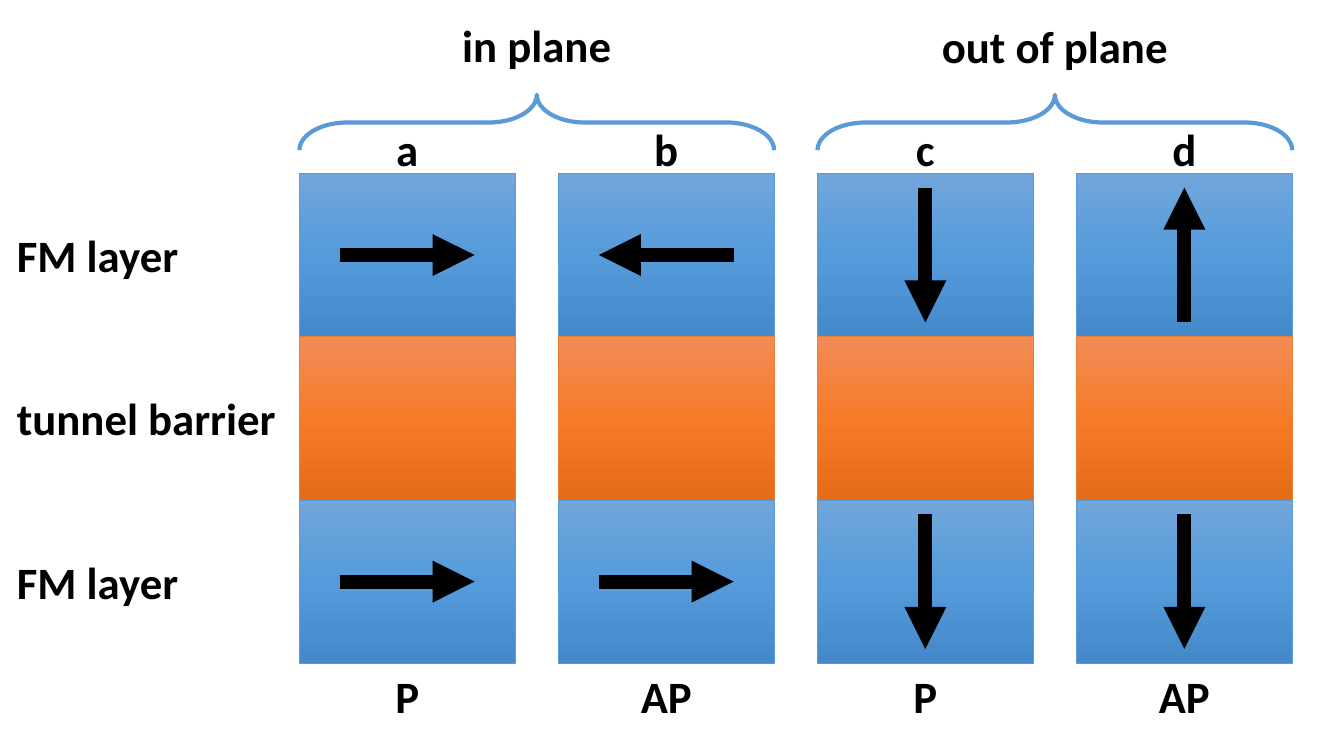
from copy import deepcopy

from lxml.etree import SubElement
from pptx import Presentation
from pptx.dml.color import RGBColor
from pptx.enum.shapes import MSO_CONNECTOR, MSO_SHAPE
from pptx.enum.text import MSO_ANCHOR, MSO_AUTO_SIZE, PP_ALIGN
from pptx.oxml.ns import qn
from pptx.util import Pt

STACK_LEFT, STACK_TOP = 213.84, 123.84
LAYER_WIDTH, LAYER_HEIGHT = 154.08, 116.64
STACK_PITCH = 185.04
ARROW_HALF = 48.1
LABEL_HEIGHT = 46
BLUE = "5B9BD5"
MAGNET = (("71A6DB", "559BDB", "448ACA"), BLUE)
BARRIER = (("F18C57", "F67B28", "E56C19"), "ED7D31")
LAYERS = [
    ("FM layer", 131, MAGNET),
    ("tunnel barrier", 201, BARRIER),
    ("FM layer", 131, MAGNET),
]
RIGHT, LEFT, UP, DOWN = (1, 0), (-1, 0), (0, -1), (0, 1)
STACKS = [
    ("a", 30, "P", 32, RIGHT, RIGHT),
    ("b", 32, "AP", 51, LEFT, RIGHT),
    ("c", 28, "P", 32, DOWN, DOWN),
    ("d", 32, "AP", 51, UP, DOWN),
]
GROUPS = [("in plane", 122, 9.4), ("out of plane", 178, 10.1)]


def color(value):
    return RGBColor.from_string(value)


def add_label(slide, text, left, top, width, align=PP_ALIGN.LEFT, size=32, bold=True):
    label = slide.shapes.add_textbox(Pt(left), Pt(top), Pt(width), Pt(LABEL_HEIGHT))
    frame = label.text_frame
    frame.word_wrap = False
    frame.auto_size = MSO_AUTO_SIZE.SHAPE_TO_FIT_TEXT
    frame.vertical_anchor = MSO_ANCHOR.TOP
    paragraph = frame.paragraphs[0]
    paragraph.alignment = align
    run = paragraph.add_run()
    run.text = text
    run.font.name = "Calibri"
    run.font.size = Pt(size)
    run.font.bold = bold
    run.font.color.rgb = color("000000")


def add_centered_label(slide, text, center, top, width):
    add_label(slide, text, center - width / 2, top, width, align=PP_ALIGN.CENTER)


def add_layer(slide, left, top, shades, outline):
    layer = slide.shapes.add_shape(
        MSO_SHAPE.RECTANGLE, Pt(left), Pt(top), Pt(LAYER_WIDTH), Pt(LAYER_HEIGHT)
    )
    layer.shadow.inherit = False
    layer.fill.gradient()
    layer.fill.gradient_angle = 270
    stop_list = layer.element.spPr.find(qn("a:gradFill")).find(qn("a:gsLst"))
    stop_list.append(deepcopy(stop_list[0]))
    for stop, shade, position in zip(layer.fill.gradient_stops, shades, (0, 0.5, 1)):
        stop.color.rgb = color(shade)
        stop.position = position
    layer.line.color.rgb = color(outline)
    layer.line.width = Pt(0.5)


def add_magnetization(slide, x, y, direction):
    dx, dy = (ARROW_HALF * step for step in direction)
    arrow = slide.shapes.add_connector(
        MSO_CONNECTOR.STRAIGHT, Pt(x - dx), Pt(y - dy), Pt(x + dx), Pt(y + dy)
    )
    arrow.line.color.rgb = color("000000")
    arrow.line.width = Pt(10)
    properties = arrow.element.spPr
    SubElement(properties.find(qn("a:ln")), qn("a:tailEnd"), type="triangle")
    SubElement(properties, qn("a:effectLst"))


def add_brace(slide, center, middle, span, depth):
    brace = slide.shapes.add_shape(
        MSO_SHAPE.LEFT_BRACE,
        Pt(center - depth / 2), Pt(middle - span / 2), Pt(depth), Pt(span),
    )
    brace.rotation = 90
    brace.adjustments[0] = 0.864
    brace.adjustments[1] = 0.5
    brace.shadow.inherit = False
    brace.fill.background()
    brace.line.color.rgb = color(BLUE)
    brace.line.width = Pt(3)


def add_stack(slide, left, letter, letter_width, state, state_width, top_spin, bottom_spin):
    center = left + LAYER_WIDTH / 2
    for row, (_, _, style) in enumerate(LAYERS):
        add_layer(slide, left, STACK_TOP + row * LAYER_HEIGHT, *style)
    for row, spin in ((0, top_spin), (2, bottom_spin)):
        add_magnetization(slide, center, STACK_TOP + (row + 0.5) * LAYER_HEIGHT, spin)
    add_centered_label(slide, letter, center, 83.5, letter_width)
    add_centered_label(slide, state, center, STACK_TOP + 3 * LAYER_HEIGHT, state_width)


def main():
    deck = Presentation()
    deck.slide_width, deck.slide_height = Pt(960), Pt(540)
    slide = deck.slides.add_slide(deck.slide_layouts[6])
    for column, stack in enumerate(STACKS):
        add_stack(slide, STACK_LEFT + column * STACK_PITCH, *stack)
    for row, (name, width, _) in enumerate(LAYERS):
        middle = STACK_TOP + (row + 0.5) * LAYER_HEIGHT
        add_label(slide, name, 5, middle - LABEL_HEIGHT / 2, width)
    span = STACK_PITCH + LAYER_WIDTH
    for index, (heading, width, top) in enumerate(GROUPS):
        center = STACK_LEFT + 2 * index * STACK_PITCH + span / 2
        add_brace(slide, center, 87.5, span, 39.6)
        add_centered_label(slide, heading, center, top, width)
    deck.save("out.pptx")


if __name__ == "__main__":
    main()
